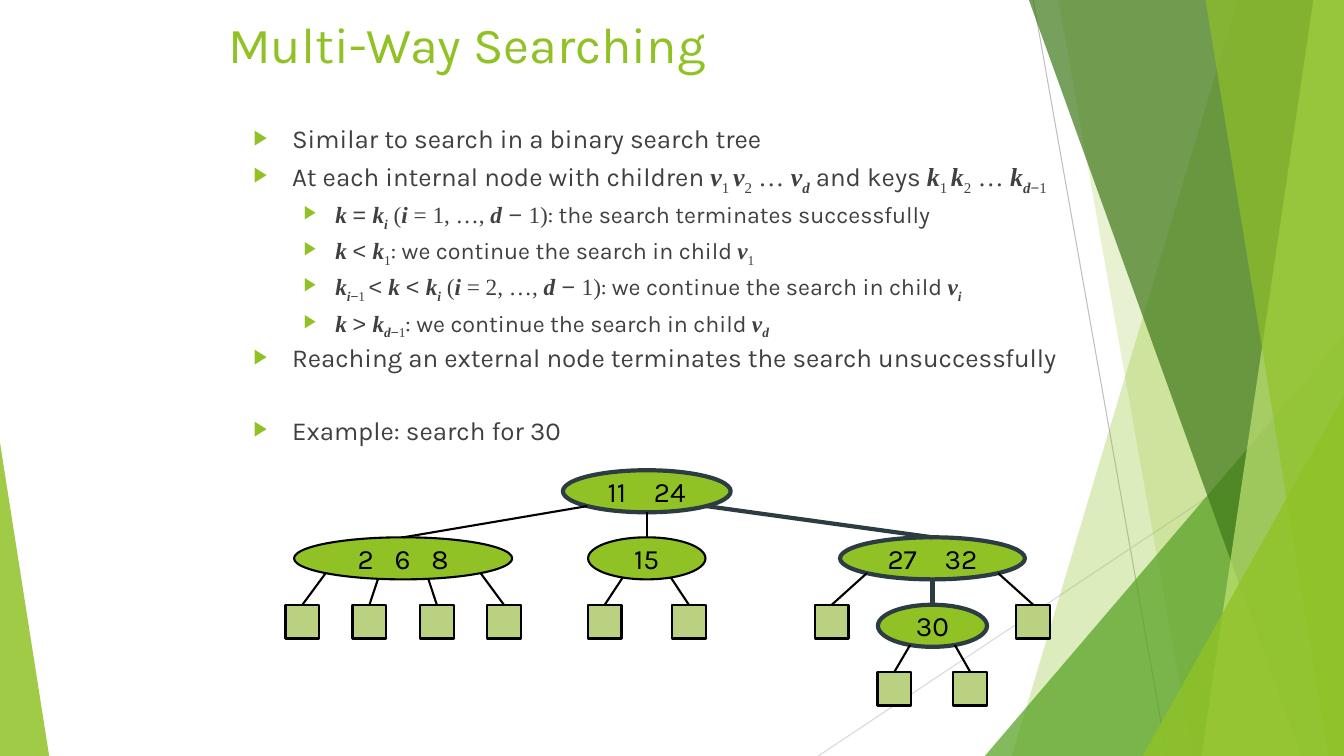
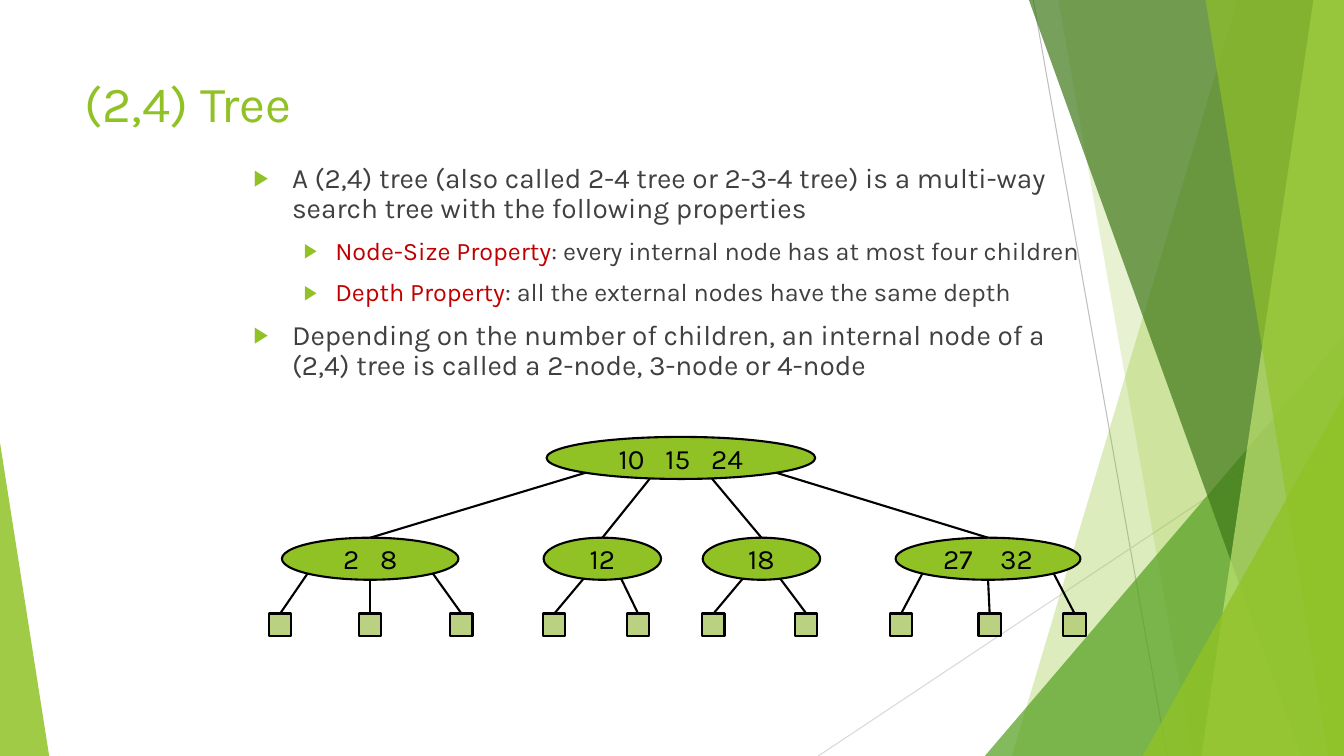
import dataclasses
import math
import lxml.etree
import pptx
import pptx.dml.color
import pptx.enum.shapes
import pptx.enum.text
import pptx.oxml.ns
import pptx.util

Cm = pptx.util.Cm
Pt = pptx.util.Pt
KIND = pptx.enum.shapes.MSO_SHAPE

WIDE, HIGH = 33.87, 19.05
FONT = "Karla"
MATH = "Times New Roman"
SIGN = "Arial"
HUES = {
    "lime": "90C226", "green": "54A021", "moss": "3F7819", "pale": "C0E474",
    "leaf": "B9D181", "slate": "2C3C43", "black": "000000", "text": "404040",
    "red": "C00000", "grey": "BFBFBF", "light": "D9D9D9",
}

STYLES = {
    "n": (FONT, False, False, "text"),
    "r": (FONT, False, False, "red"),
    "v": (MATH, True, False, "text"),
    "w": (MATH, True, True, "text"),
    "t": (MATH, False, False, "text"),
    "s": (MATH, False, True, "text"),
    "a": (SIGN, False, False, "text"),
    "m": (SIGN, False, True, "text"),
}

BANDS = [
    ("band", 31.19, 25.5, "lime", 30),
    ("band", 26.67, 30.05, "lime", 20),
    ("peak", (24.82, 8.46, 9.05, 1), "green", 72),
    ("band", 25.93, 32.79, "moss", 70),
    ("band", 33.1, 30.28, "pale", 70),
    ("band", 30.38, 33.48, "lime", 65),
    ("peak", (28.8, 9.98, 5.07, 1), "lime", 80),
    ("peak", (0, 11.15, 1.24, 0), "lime", 85),
]


@dataclasses.dataclass
class Node:
    keys: str
    x: float
    wide: float
    kids: list
    hot: bool = False
    gap: int = 10


def hue(name):
    return pptx.dml.color.RGBColor.from_string(HUES[name])


def add_tag(host, name, **attrs):
    return lxml.etree.SubElement(host, pptx.oxml.ns.qn(name), attrs)


def paint(shape, fill, line=None, width=1.5, alpha=100):
    shape.shadow.inherit = False
    shape.fill.solid()
    shape.fill.fore_color.rgb = hue(fill)
    if alpha < 100:
        tint = shape.fill._xPr.find(".//" + pptx.oxml.ns.qn("a:srgbClr"))
        add_tag(tint, "a:alpha", val=str(alpha * 1000))
    if line:
        shape.line.color.rgb = hue(line)
        shape.line.width = Pt(width)
    else:
        shape.line.fill.background()


def add_line(slide, start, end, color, width):
    ends = [Cm(v) for v in (*start, *end)]
    line = slide.shapes.add_connector(pptx.enum.shapes.MSO_CONNECTOR.STRAIGHT, *ends)
    line.line.color.rgb = hue(color)
    line.line.width = Pt(width)
    add_tag(line._element.spPr, "a:effectLst")
    return line


def add_run(para, text, size, color, font=FONT):
    run = para.add_run()
    run.text = text
    run.font.size = Pt(size)
    run.font.name = font
    run.font.color.rgb = hue(color)
    return run


def add_box(slide, box):
    frame = slide.shapes.add_textbox(*[Cm(v) for v in box]).text_frame
    frame.word_wrap = True
    return frame


def draw_back(slide):
    add_line(slide, (26.04, 0), (29.41, HIGH), "grey", 0.75)
    add_line(slide, (WIDE, 10.24), (20.62, HIGH), "light", 0.75)
    for kind, *form, color, alpha in BANDS:
        if kind == "band":
            top, base = form
            pen = slide.shapes.build_freeform(Cm(top), 0)
            ends = [(WIDE, 0), (WIDE, HIGH), (base, HIGH)]
            pen.add_line_segments([(Cm(x), Cm(y)) for x, y in ends], close=True)
            shape = pen.convert_to_shape()
        else:
            left, top, width, lean = form[0]
            shape = slide.shapes.add_shape(
                KIND.ISOSCELES_TRIANGLE, Cm(left), Cm(top), Cm(width), Cm(HIGH - top))
            shape.adjustments[0] = lean
        paint(shape, color, alpha=alpha)


def draw_title(slide, box, text):
    add_run(add_box(slide, box).paragraphs[0], text, 36, "lime")


def draw_list(slide, box, items, sizes, pitch):
    frame = add_box(slide, box)
    for num, (level, space, text) in enumerate(items):
        para = frame.add_paragraph() if num else frame.paragraphs[0]
        para.level = level
        para.line_spacing = pitch
        para.space_before = Pt(space)
        left, hang = ((0.97, 0.97), (2.06, 0.79))[level]
        props = para._p.get_or_add_pPr()
        props.set("marL", str(Cm(left)))
        props.set("indent", str(-Cm(hang)))
        add_tag(add_tag(props, "a:buClr"), "a:srgbClr", val=HUES["lime"])
        add_tag(props, "a:buSzPct", val="80000")
        add_tag(props, "a:buFont", typeface=SIGN)
        add_tag(props, "a:buChar", char="▶")
        for part in text.split("|"):
            style, _, words = part.partition(":")
            font, strong, low, color = STYLES[style]
            run = add_run(para, words, sizes[level], color, font)
            run.font.bold = run.font.italic = strong or style == "w"
            if low:
                run._r.get_or_add_rPr().set("baseline", "-25000")


def draw_keys(shape, node):
    frame = shape.text_frame
    frame.word_wrap = False
    frame.vertical_anchor = pptx.enum.text.MSO_ANCHOR.MIDDLE
    para = frame.paragraphs[0]
    para.alignment = pptx.enum.text.PP_ALIGN.CENTER
    for num, key in enumerate(node.keys.split()):
        if num:
            space = add_run(para, " ", 20, "black")
            space._r.get_or_add_rPr().set("spc", str(node.gap * 100))
        add_run(para, key, 20, "black")


def draw_tree(slide, box, node, rows, leaf, pair, depth=0):
    left, top = box
    y = top + rows[depth]
    if not isinstance(node, Node):
        shape = slide.shapes.add_shape(
            KIND.RECTANGLE, Cm(left + node - leaf / 2), Cm(y), Cm(leaf), Cm(leaf))
        paint(shape, "leaf", "black")
        return shape
    tall = 1.06
    mid = left + node.x
    shape = slide.shapes.add_shape(
        KIND.OVAL, Cm(mid - node.wide / 2), Cm(y), Cm(node.wide), Cm(tall))
    paint(shape, "lime", *(("slate", 3) if node.hot else ("black", 1.5)))
    draw_keys(shape, node)
    spread = {2: (-pair, pair), 3: (-0.71, 0, 0.71), 4: (-0.71, -0.23, 0.23, 0.71)}
    for part, kid in zip(spread[len(node.kids)], node.kids):
        child = draw_tree(slide, box, kid, rows, leaf, pair, depth + 1)
        start = (mid + part * node.wide / 2, y + tall / 2 * (1 + math.sqrt(1 - part ** 2)))
        hot = isinstance(kid, Node) and kid.hot
        line = add_line(slide, start, start, *(("slate", 3) if hot else ("black", 1.5)))
        line.end_connect(child, 0)
    return shape


def new_slide(deck):
    slide = deck.slides.add_slide(deck.slide_layouts[6])
    draw_back(slide)
    return slide


def search_slide(deck):
    slide = new_slide(deck)
    draw_title(slide, (5.5, 0.2, 22.86, 2.54), "Multi-Way Searching")
    items = [
        (0, 0, "n:Similar to search in a binary search tree"),
        (0, 10, "n:At each internal node with children |v:v|s:1 |v:v|s:2|t: … |v:v|w:d"
                "|n: and keys |v:k|s:1 |v:k|s:2|t: … |v:k|w:d|m:−|s:1"),
        (1, 10, "v:k |a:= |v:k|w:i|t: (|v:i|t: = 1, …, |v:d|a: − |t:1)"
                "|n:: the search terminates successfully"),
        (1, 10, "v:k |a:< |v:k|s:1|n:: we continue the search in child |v:v|s:1"),
        (1, 10, "v:k|w:i|m:−|s:1 |a:< |v:k |a:< |v:k|w:i|t: (|v:i|t: = 2, …, |v:d|a: − |t:1)"
                "|n:: we continue the search in child |v:v|w:i"),
        (1, 10, "v:k |a:> |v:k|w:d|m:−|s:1|n:: we continue the search in child |v:v|w:d"),
        (0, 10, "n:Reaching an external node terminates the search unsuccessfully"),
        (0, 36, "n:Example: search for 30"),
    ]
    draw_list(slide, (6.14, 3.18, 22.43, 8.26), items, (18.5, 16.6), 0.7)
    root = Node("11 24", 9.1, 4.23, [
        Node("2 6 8", 2.96, 5.5, [0.42, 2.11, 3.81, 5.5]),
        Node("15", 9.1, 2.96, [8.04, 10.16]),
        Node("27 32", 16.3, 4.66, [
            13.76, Node("30", 16.3, 2.75, [15.34, 17.25], True), 18.84], True, 15),
    ], True, 15)
    draw_tree(slide, (7.2, 11.85), root, (0, 1.69, 3.39, 5.08), 0.85, 0.41)


def tree_slide(deck):
    slide = new_slide(deck)
    draw_title(slide, (1.88, 1.7, 23.88, 3.66), "(2,4) Tree")
    items = [
        (0, 0, "n:A (2,4) tree (also called 2-4 tree or 2-3-4 tree) is a multi-way "
               "search tree with the following properties"),
        (1, 10, "r:Node-Size Property|n:: every internal node has at most four children"),
        (1, 10, "r:Depth Property|n:: all the external nodes have the same depth"),
        (0, 10, "n:Depending on the number of children, an internal node of a "
                "(2,4) tree is called a 2-node, 3-node or 4-node"),
    ]
    draw_list(slide, (6.14, 4.02, 21.59, 6.35), items, (20, 18), 0.9)
    root = Node("10 15 24", 10.36, 6.77, [
        Node("2 8", 2.53, 4.45, [0.26, 2.53, 4.83]),
        Node("12", 8.38, 2.96, [7.17, 9.28]),
        Node("18", 12.39, 2.96, [11.18, 13.52]),
        Node("27 32", 18.1, 4.66, [15.91, 18.14, 20.28], gap=15),
    ])
    draw_tree(slide, (6.8, 11.01), root, (0, 2.54, 4.45), 0.56, 0.32)


def main():
    deck = pptx.Presentation()
    deck.slide_width = Cm(WIDE)
    deck.slide_height = Cm(HIGH)
    search_slide(deck)
    tree_slide(deck)
    deck.save("out.pptx")


if __name__ == "__main__":
    main()
